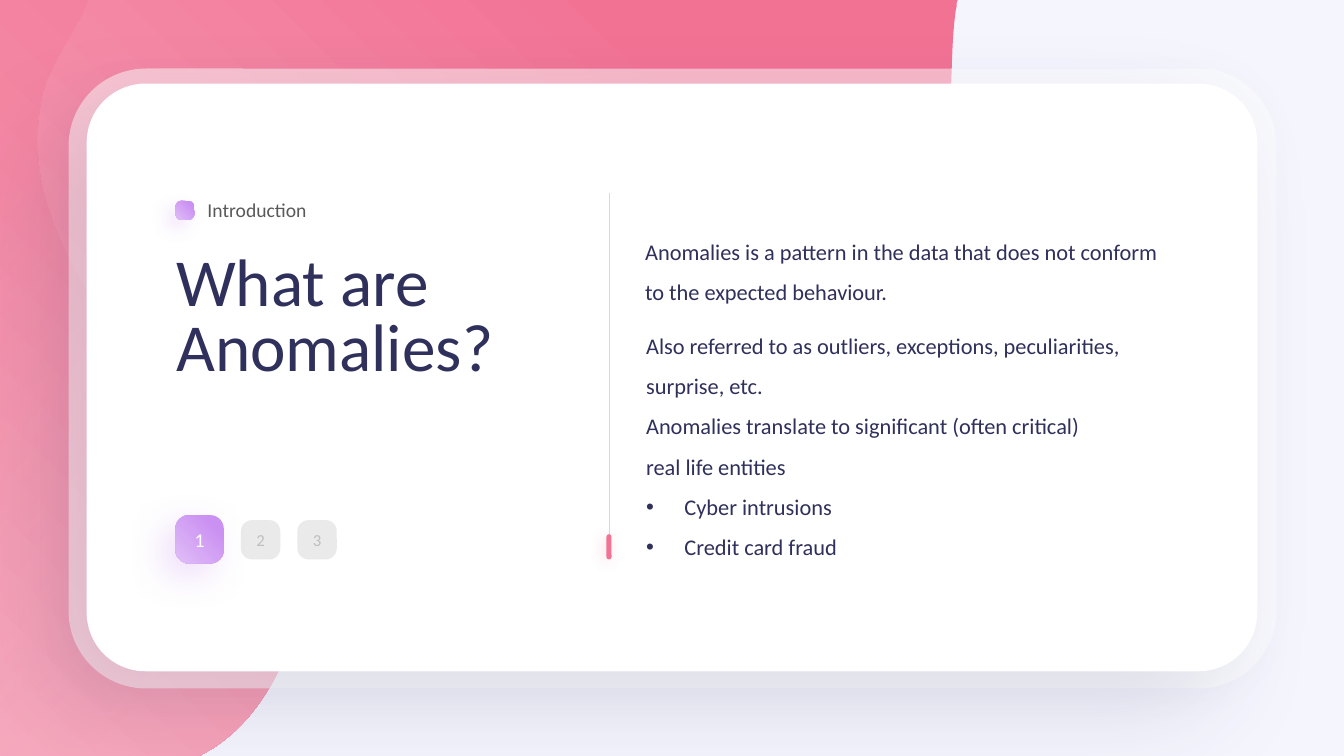
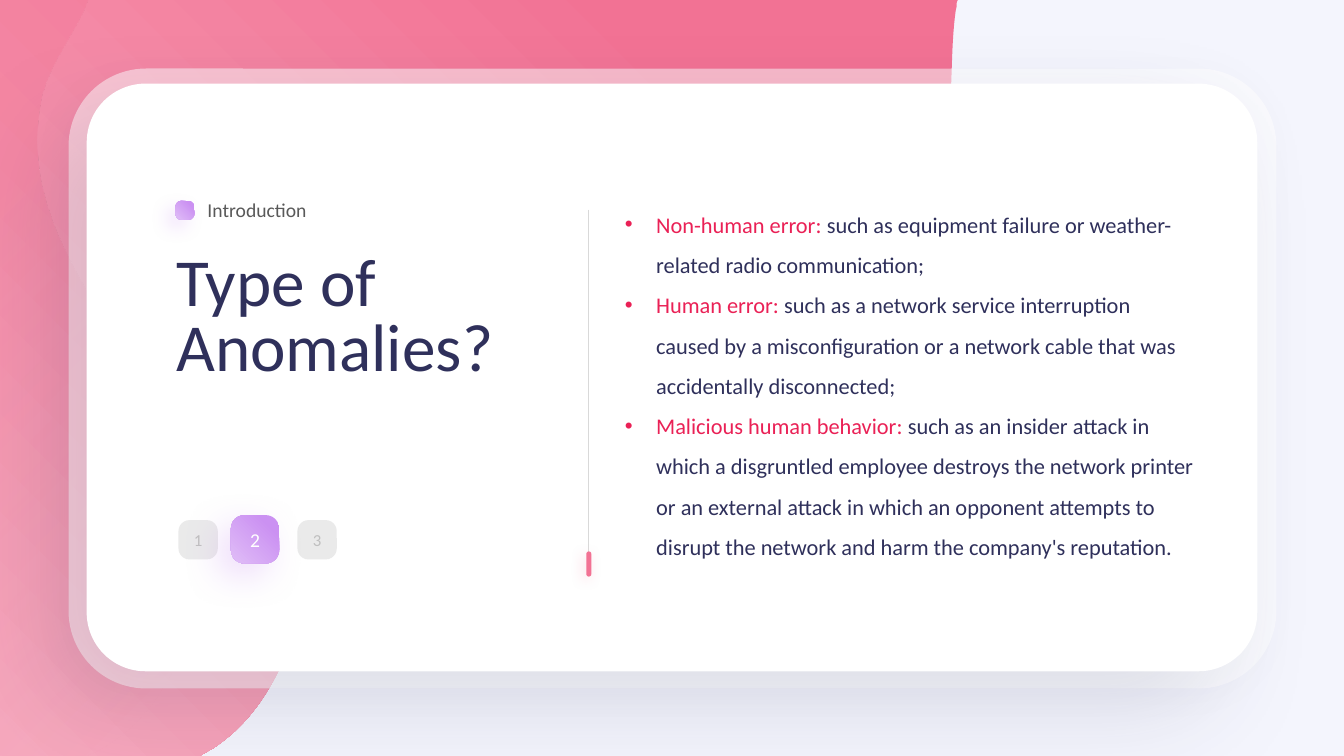
from lxml import etree
from pptx import Presentation
from pptx.dml.color import RGBColor
from pptx.enum import shapes, text
from pptx.oxml import ns
from pptx.util import Inches, Pt

FONT = "Calibri"
PAGE, WHITE, NAVY = "F4F5FD", "FFFFFF", "2F305B"
PINK, BLUSH, RED = "F27294", "F7AABF", "EA2156"
VIOLET, LILAC = "CB91F2", "E0BDF7"
DARK_GREY, MID_GREY, LIGHT_GREY = "595959", "BFBFBF", "D9D9D9"

# Gradient centres as left, top, right, bottom percentages
BOTTOM_LEFT, BOTTOM_RIGHT = (0, 100, 100, 0), (100, 100, 0, 0)
VIOLET_FADE = ([(0, LILAC, 100), (80, VIOLET, 100)], BOTTOM_LEFT)

# Outlines: a pair is a corner, a triple of pairs is a curve
BLOB = [
    (0, 0), (9.5, 0), (9.49, 0.02),
    ((9.49, 0.05), (9.49, 0.08), (9.48, 0.1)),
    ((9.42, 0.53), (9.46, 0.97), (9.38, 1.4)),
    ((9.31, 1.81), (9.04, 2.13), (8.64, 2.26)),
    ((7.98, 2.48), (7.25, 2.18), (6.67, 1.87)),
    ((6.34, 1.7), (6.01, 1.53), (5.64, 1.52)),
    ((5.06, 1.51), (4.61, 1.96), (4.86, 2.53)),
    ((5.04, 2.95), (5.46, 3.2), (5.6, 3.64)),
    ((5.69, 3.9), (5.67, 4.22), (5.48, 4.43)),
    ((4.98, 5), (3.98, 4.64), (3.42, 5.14)),
    ((3.08, 5.45), (3.05, 5.91), (2.9, 6.32)),
    ((2.74, 6.77), (2.51, 7.16), (2.12, 7.42)),
    (1.98, 7.5), (0, 7.5),
]
WAVE = [
    (0, 0), (0.87, 0), (0.83, 0.11),
    ((0.7, 0.38), (0.5, 0.64), (0.42, 0.94)),
    ((0.18, 1.95), (0.79, 2.79), (1.3, 3.6)),
    ((1.69, 4.22), (1.98, 4.9), (1.98, 5.58)),
    ((1.98, 5.99), (1.87, 6.41), (1.62, 6.81)),
    ((1.44, 7.11), (1.21, 7.32), (0.94, 7.46)),
    (0.85, 7.5), (0, 7.5),
]


def rgb(colour):
    return RGBColor.from_string(colour)


def add(parent, tag, **attrs):
    child = etree.SubElement(parent, ns.qn(tag))
    for name, value in attrs.items():
        child.set(name, str(value))
    return child


def add_colour(parent, colour, alpha):
    add(add(parent, "a:srgbClr", val=colour), "a:alpha", val=alpha * 1000)


def style(sp, fill, alpha=100, shadow=None):
    """Fill is a hex string or (stops, centre); shadow is colour, alpha, blur, distance."""
    spPr = sp._element.spPr
    sp.line.fill.background()
    if isinstance(fill, str):
        sp.fill.solid()
        sp.fill.fore_color.rgb = rgb(fill)
        if alpha < 100:
            add(spPr.find(".//" + ns.qn("a:srgbClr")), "a:alpha", val=alpha * 1000)
    else:
        stops, centre = fill
        grad = add(spPr, "a:gradFill", rotWithShape=1)
        spPr.find(ns.qn("a:ln")).addprevious(grad)
        stop_list = add(grad, "a:gsLst")
        for pos, colour, opacity in stops:
            add_colour(add(stop_list, "a:gs", pos=pos * 1000), colour, opacity)
        sides = {side: pct * 1000 for side, pct in zip("ltrb", centre)}
        add(add(grad, "a:path", path="circle"), "a:fillToRect", **sides)
    sp.shadow.inherit = False
    if shadow:
        colour, opacity, blur, dist = shadow
        outer = add(spPr.find(ns.qn("a:effectLst")), "a:outerShdw", blurRad=Pt(blur),
                    dist=Pt(dist), dir=135 * 60000, algn="tr", rotWithShape=0)
        add_colour(outer, colour, opacity)


def rounded(s, left, top, width, height, radius, fill, **look):
    sp = s.shapes.add_shape(shapes.MSO_SHAPE.ROUNDED_RECTANGLE, Inches(left),
                            Inches(top), Inches(width), Inches(height))
    sp.adjustments[0] = radius
    style(sp, fill, **look)
    return sp


def outline(s, steps, fill):
    """Draw straight sides between the anchors, then bend those that are curves."""
    curves = [step if len(step) == 3 else None for step in steps]
    anchors = [step[-1] if len(step) == 3 else step for step in steps]
    corners = [(Inches(x), Inches(y)) for x, y in anchors]
    builder = s.shapes.build_freeform(*corners[0])
    builder.add_line_segments(corners[1:], close=True)
    sp = builder.convert_to_shape()
    sides = sp._element.spPr.findall(".//" + ns.qn("a:lnTo"))
    for side, curve in zip(sides, curves[1:]):
        if curve:
            bend = etree.Element(ns.qn("a:cubicBezTo"))
            for x, y in curve:
                add(bend, "a:pt", x=Inches(x) - sp.left, y=Inches(y) - sp.top)
            side.getparent().replace(side, bend)
    style(sp, fill)


def add_run(p, words, size, colour):
    r = p.add_run()
    r.text = words
    r.font.name, r.font.size = FONT, Pt(size)
    r.font.color.rgb = rgb(colour)


def textbox(s, box, paragraphs, size, spacing=1.0, indent=0.0):
    """Each paragraph is (bulleted, [(words, colour), ...])."""
    tf = s.shapes.add_textbox(*map(Inches, box)).text_frame
    tf.word_wrap = True
    tf.auto_size = text.MSO_AUTO_SIZE.SHAPE_TO_FIT_TEXT
    for i, (bulleted, runs) in enumerate(paragraphs):
        p = tf.add_paragraph() if i else tf.paragraphs[0]
        p.line_spacing = spacing
        if bulleted:
            pPr = p._p.get_or_add_pPr()
            pPr.set("marL", str(Inches(indent)))
            pPr.set("indent", str(-Inches(indent)))
            add(pPr, "a:buFont", typeface="Arial")
            add(pPr, "a:buChar", char="•")
        for words, colour in runs:
            add_run(p, words, size, colour)


def top_tab(s, left, width):
    tab = s.shapes.add_shape(shapes.MSO_SHAPE.ROUND_2_SAME_RECTANGLE, Inches(left), 0,
                             Inches(width), Inches(0.43))
    tab.adjustments[0], tab.adjustments[1] = 0, 0.5
    style(tab, PINK)
    # Flares that join the tab to the slide's edge
    for x, way in ((left + width, 1), (left, -1)):
        outline(s, [(x, 0), (x + way * 0.29, 0), (x + way * 0.24, 0.01),
                    ((x + way * 0.12, 0.03), (x + way * 0.03, 0.13), (x, 0.24)),
                    (x, 0.25)], PINK)


def backdrop(s):
    s.background.fill.solid()
    s.background.fill.fore_color.rgb = rgb(PAGE)
    top_tab(s, 5.82, 1.7)
    outline(s, BLOB, ([(0, BLUSH, 100), (80, PINK, 100)], BOTTOM_LEFT))
    outline(s, WAVE, ([(0, BLUSH, 0), (80, PINK, 30)], BOTTOM_RIGHT))
    # Frosted frame and white card
    rounded(s, 0.68, 0.68, 11.98, 6.15, 0.125, WHITE, alpha=50, shadow=(NAVY, 4, 24, 9))
    rounded(s, 0.86, 0.83, 11.61, 5.83, 0.1, WHITE, shadow=(NAVY, 12, 74, 40))


def heading(s, left, top, section, title_lines):
    lines = [(False, [(line, NAVY)]) for line in title_lines]
    textbox(s, (left, top + 0.57, 4.13, 1.39), lines, 48, 0.8)
    textbox(s, (left + 0.31, top, 2.86, 0.34), [(False, [(section, DARK_GREY)])], 14)
    rounded(s, left + 0.09, top + 0.08, 0.19, 0.19, 0.32, VIOLET_FADE,
            shadow=(VIOLET, 23, 13, 8))


def divider(s, x, top):
    line = s.shapes.add_connector(shapes.MSO_CONNECTOR.STRAIGHT, Inches(x), Inches(top),
                                  Inches(x), Inches(top + 3.57))
    line.line.color.rgb = rgb(LIGHT_GREY)
    line.line.width = Pt(0.5)
    add(line._element.spPr, "a:effectLst")
    # Pink marker at the foot
    width = 0.05
    rounded(s, x - width / 2, top + 3.39, width, 0.25, 0.5, PINK, shadow=(PINK, 25, 9, 3))


def pager(s, top, lefts, current):
    for number, left in enumerate(lefts, 1):
        if number == current:
            y, side, size, colour = top, 0.48, 14, WHITE
            fill, look = VIOLET_FADE, {"shadow": (VIOLET, 30, 26, 12)}
        else:
            y, side, size, colour = top + 0.05, 0.39, 12, MID_GREY
            fill, look = LIGHT_GREY, {"alpha": 55}
        sp = rounded(s, left, y, side, side, 0.28, fill, **look)
        tf = sp.text_frame
        tf.margin_left = tf.margin_right = tf.margin_top = tf.margin_bottom = 0
        tf.vertical_anchor = text.MSO_ANCHOR.MIDDLE
        p = tf.paragraphs[0]
        p.alignment = text.PP_ALIGN.CENTER
        add_run(p, str(number), size, colour)


def base_slide(prs, title_lines, page_lefts, current):
    s = prs.slides.add_slide(prs.slide_layouts[6])
    backdrop(s)
    heading(s, 1.65, 1.91, "Introduction", title_lines)
    pager(s, 5.11, page_lefts, current)
    return s


def definition_slide(prs):
    s = base_slide(prs, ["What are", "Anomalies?"], (1.74, 2.39, 2.95), 1)
    meaning = ("Anomalies is a pattern in the data that does not conform "
               "to the expected behaviour.")
    textbox(s, (6.3, 2.18, 5.35, 0.86), [(False, [(meaning, NAVY)])], 16, 1.5)
    details = [
        (False, "Also referred to as outliers, exceptions, peculiarities, surprise, etc."),
        (False, "Anomalies translate to significant (often critical)"),
        (False, "real life entities"),
        (True, "Cyber intrusions"),
        (True, "Credit card fraud"),
    ]
    textbox(s, (6.31, 3.11, 5.35, 2.52),
            [(bulleted, [(words, NAVY)]) for bulleted, words in details], 16, 1.5, 0.38)
    divider(s, 6.04, 1.91)


def types_slide(prs):
    s = base_slide(prs, ["Type of", "Anomalies?"], (1.77, 2.29, 2.95), 2)
    kinds = [
        ("Non-human error: ",
         "such as equipment failure or weather-related radio communication;"),
        ("Human error: ",
         "such as a network service interruption caused by a misconfiguration "
         "or a network cable that was accidentally disconnected;"),
        ("Malicious human behavior: ",
         "such as an insider attack in which a disgruntled employee destroys the "
         "network printer or an external attack in which an opponent attempts to "
         "disrupt the network and harm the company's reputation."),
    ]
    textbox(s, (6.1, 1.91, 5.88, 4.14),
            [(True, [(kind, RED), (example, NAVY)]) for kind, example in kinds],
            16, 1.5, 0.31)
    divider(s, 5.84, 2.08)


def main():
    prs = Presentation()
    prs.slide_width, prs.slide_height = Inches(13.33), Inches(7.5)
    definition_slide(prs)
    types_slide(prs)
    prs.save("out.pptx")


if __name__ == "__main__":
    main()
